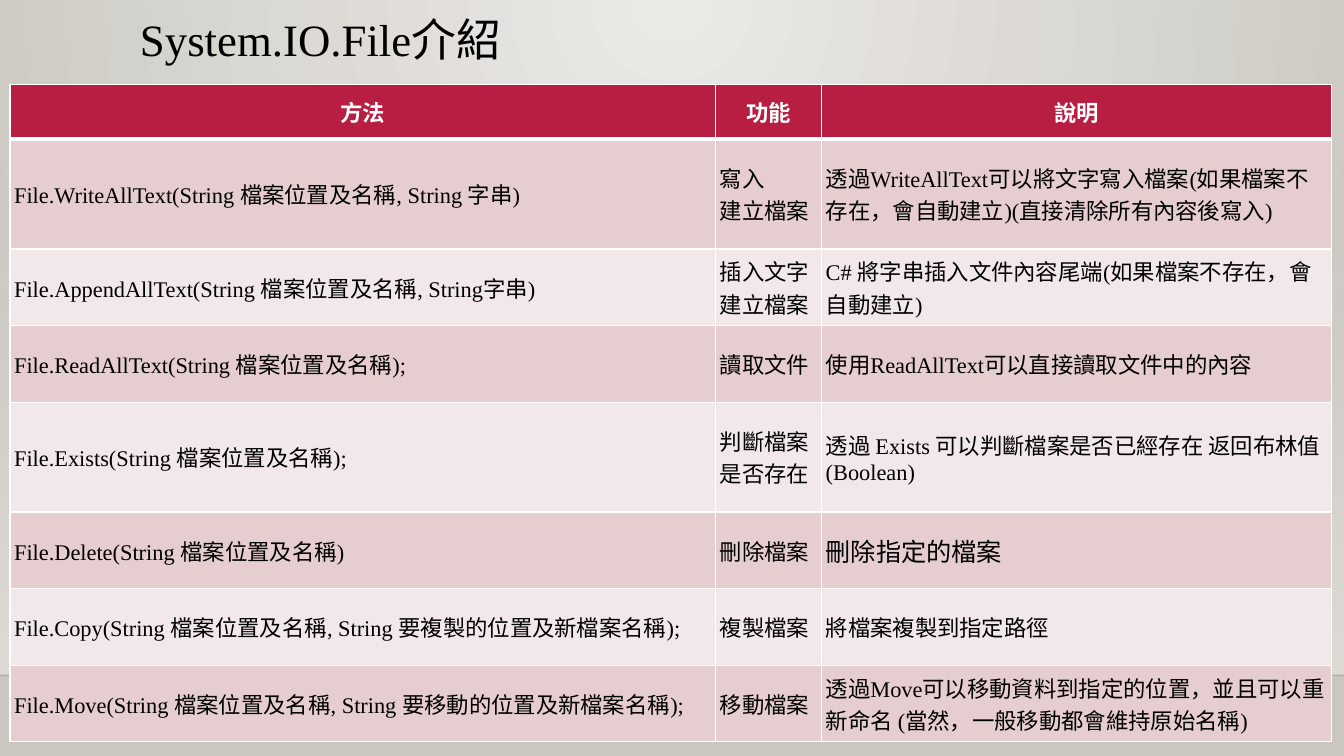
from lxml import etree
from pptx import Presentation
from pptx.dml.color import RGBColor
from pptx.enum.shapes import MSO_CONNECTOR, MSO_SHAPE
from pptx.enum.text import MSO_ANCHOR, PP_ALIGN
from pptx.oxml.ns import qn
from pptx.util import Inches, Pt

RECTANGLE = MSO_SHAPE.RECTANGLE
STRAIGHT = MSO_CONNECTOR.STRAIGHT
TOP, MIDDLE = MSO_ANCHOR.TOP, MSO_ANCHOR.MIDDLE
LEFT, CENTER = PP_ALIGN.LEFT, PP_ALIGN.CENTER

BLACK = RGBColor(0x00, 0x00, 0x00)
WHITE = RGBColor(0xFF, 0xFF, 0xFF)
CRIMSON = RGBColor(0xB7, 0x1E, 0x42)
ROW_DARK = RGBColor(0xE6, 0xCD, 0xCF)
ROW_LIGHT = RGBColor(0xF3, 0xE8, 0xE9)
BACK_INNER = RGBColor(0xEC, 0xEA, 0xE7)
BACK_OUTER = RGBColor(0xCA, 0xC7, 0xC1)
WALL = RGBColor(0xDF, 0xDB, 0xD5)

FONT = "Times New Roman"
SLIDE_WIDTH, FLOOR_Y = 13.33, 6.7
COLUMN_WIDTHS = [7, 1.05, 5.06]
ROW_HEIGHTS = [0.54, 1.09, 0.76, 0.76, 1.09, 0.76, 0.76, 0.76]
ROWS = [
    ("方法", "功能", "說明"),
    ("File.WriteAllText(String 檔案位置及名稱, String 字串)", "寫入\n建立檔案",
     "透過WriteAllText可以將文字寫入檔案(如果檔案不存在，會自動建立)(直接清除所有內容後寫入)"),
    ("File.AppendAllText(String 檔案位置及名稱, String字串)", "插入文字\n建立檔案",
     "C# 將字串插入文件內容尾端(如果檔案不存在，會自動建立)"),
    ("File.ReadAllText(String 檔案位置及名稱);", "讀取文件",
     "使用ReadAllText可以直接讀取文件中的內容"),
    ("File.Exists(String 檔案位置及名稱);", "判斷檔案是否存在",
     "透過 Exists 可以判斷檔案是否已經存在 返回布林值(Boolean)"),
    ("File.Delete(String 檔案位置及名稱)", "刪除檔案", "刪除指定的檔案"),
    ("File.Copy(String 檔案位置及名稱, String 要複製的位置及新檔案名稱);", "複製檔案",
     "將檔案複製到指定路徑"),
    ("File.Move(String 檔案位置及名稱, String 要移動的位置及新檔案名稱);", "移動檔案",
     "透過Move可以移動資料到指定的位置，並且可以重新命名 (當然，一般移動都會維持原始名稱)"),
]
LARGER_TEXT = "刪除指定的檔案"


def set_gradient(fill, first, last):
    fill.gradient()
    for stop, color, position in zip(fill.gradient_stops, (first, last), (0, 1)):
        stop.color.rgb = color
        stop.position = position


def set_alpha(color_element, percent):
    etree.SubElement(color_element, qn("a:alpha"), val=str(percent * 1000))


def paint_background(page):
    set_gradient(page.background.fill, BACK_INNER, BACK_OUTER)
    gradient = next(page._element.iter(qn("a:gradFill")))
    linear = gradient.find(qn("a:lin"))
    circle = etree.Element(qn("a:path"), path="circle")
    etree.SubElement(circle, qn("a:fillToRect"),
                     l="43000", t="0", r="43000", b="100000")
    gradient.replace(linear, circle)


def add_wall(page):
    top = 2.21
    wall = page.shapes.add_shape(RECTANGLE, 0, Inches(top), Inches(SLIDE_WIDTH),
                                 Inches(FLOOR_Y - top))
    wall.shadow.inherit = False
    wall.line.fill.background()
    set_gradient(wall.fill, WALL, WALL)
    wall.fill.gradient_angle = 270
    set_alpha(next(wall._element.spPr.iter(qn("a:srgbClr"))), 0)


def add_floor_line(page):
    line = page.shapes.add_connector(STRAIGHT, 0, Inches(FLOOR_Y),
                                     Inches(SLIDE_WIDTH), Inches(FLOOR_Y))
    line.line.color.rgb = BLACK
    line.line.width = Pt(1)
    properties = line._element.spPr
    set_alpha(next(properties.iter(qn("a:srgbClr"))), 20)
    etree.SubElement(properties, qn("a:effectLst"))


def style_font(font, size, color, bold=False):
    font.name = FONT
    font.size = Pt(size)
    font.color.rgb = color
    font.bold = bold


def add_title(page, text):
    box = page.shapes.add_textbox(Inches(1.29), Inches(0.13), Inches(10.5), Inches(1.15))
    frame = box.text_frame
    frame.word_wrap = True
    frame.vertical_anchor = TOP
    para = frame.paragraphs[0]
    para.text = text
    para.line_spacing = 0.9
    style_font(para.font, 32, BLACK)


def set_borders(cell, bottom_width):
    properties = cell._tc.get_or_add_tcPr()
    widths = {"a:lnL": 1, "a:lnR": 1, "a:lnT": 1, "a:lnB": bottom_width}
    for index, (tag, width) in enumerate(widths.items()):
        border = etree.Element(qn(tag), w=str(Pt(width)))
        solid = etree.SubElement(border, qn("a:solidFill"))
        etree.SubElement(solid, qn("a:srgbClr"), val=str(WHITE))
        properties.insert(index, border)


def fill_cell(cell, text, fill_color, is_header):
    cell.text = text
    cell.vertical_anchor = MIDDLE
    cell.margin_left = cell.margin_right = Inches(0.04)
    cell.margin_top = cell.margin_bottom = Inches(0.04)
    cell.fill.solid()
    cell.fill.fore_color.rgb = fill_color
    set_borders(cell, 3 if is_header else 1)
    for para in cell.text_frame.paragraphs:
        para.alignment = CENTER if is_header else LEFT
        style_font(para.font, 18 if text == LARGER_TEXT else 16,
                   WHITE if is_header else BLACK, is_header)


def add_method_table(page):
    table = page.shapes.add_table(
        len(ROWS), len(COLUMN_WIDTHS), Inches(0.1), Inches(0.84),
        Inches(sum(COLUMN_WIDTHS)), Inches(sum(ROW_HEIGHTS))).table
    for column, width in zip(table.columns, COLUMN_WIDTHS):
        column.width = Inches(width)
    for index, (row, height, texts) in enumerate(zip(table.rows, ROW_HEIGHTS, ROWS)):
        row.height = Inches(height)
        is_header = index == 0
        band = ROW_DARK if index % 2 else ROW_LIGHT
        for cell, text in zip(row.cells, texts):
            fill_cell(cell, text, CRIMSON if is_header else band, is_header)


def main():
    deck = Presentation()
    deck.slide_width = Inches(SLIDE_WIDTH)
    deck.slide_height = Inches(7.5)
    page = deck.slides.add_slide(deck.slide_layouts[6])

    # Backdrop
    paint_background(page)
    add_wall(page)
    add_floor_line(page)

    # Content
    add_title(page, "System.IO.File介紹")
    add_method_table(page)

    deck.save("out.pptx")


if __name__ == "__main__":
    main()
